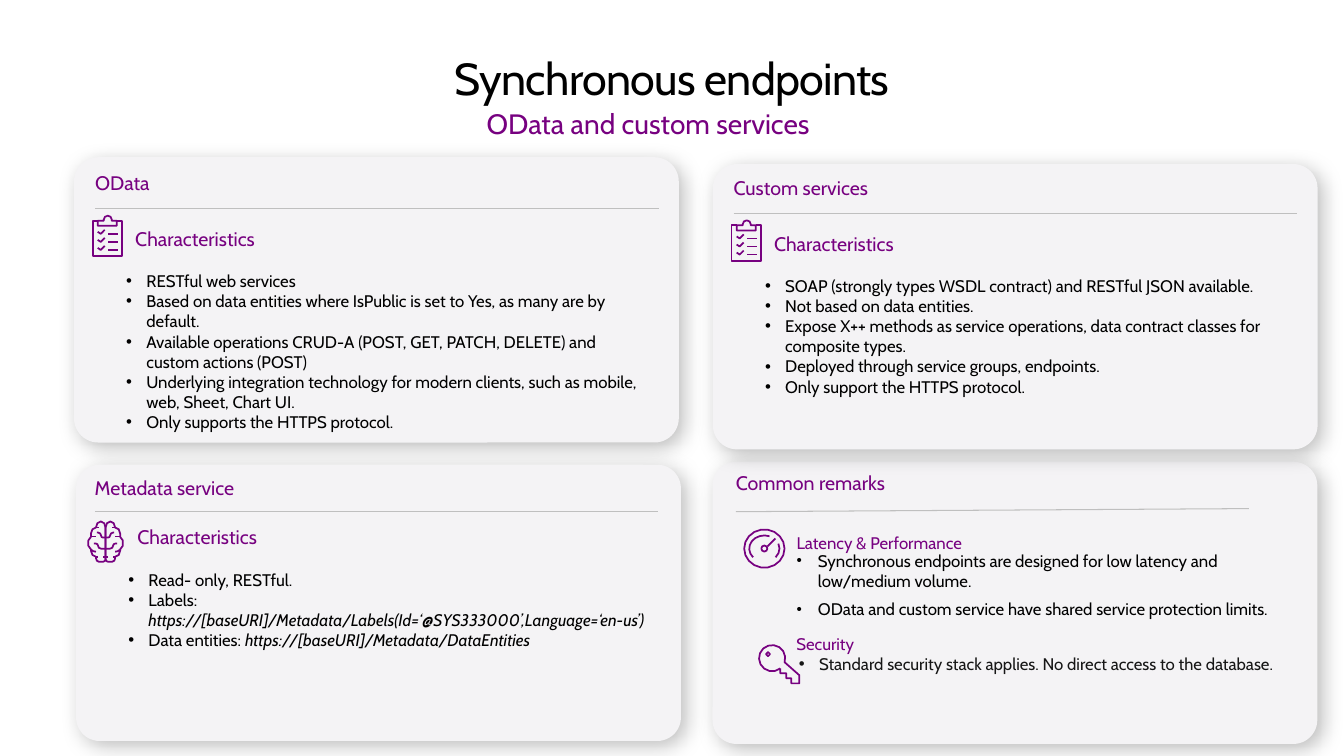
from math import cos, radians, sin

from lxml.etree import SubElement
from pptx import Presentation
from pptx.dml.color import RGBColor
from pptx.enum.shapes import MSO_CONNECTOR, MSO_SHAPE
from pptx.enum.text import MSO_ANCHOR, PP_ALIGN
from pptx.oxml.ns import qn
from pptx.util import Pt

COLORS = {"accent": "770180", "card": "F4F3F5", "rule": "BFBFBF",
          "text": "000000", "soft": "161616", "shadow": "000000"}


def arc(cx, cy, rx, ry, start, end, step=45):
    """Points along an ellipse, clockwise on screen when end > start."""
    count = max(1, round(abs(end - start) / step))
    angles = [radians(start + (end - start) * i / count) for i in range(count + 1)]
    return [(cx + rx * cos(a), cy + ry * sin(a)) for a in angles]


# Icons are lists of strokes, in hundredths of an inch from their top left corner.
def checklist():
    clip = arc(15, 4, 4, 4, 180, 360) + [
        (19, 5), (24, 5), (24, 10), (5, 10), (5, 5), (11, 5), (11, 4)]
    board = [(5, 5), (0, 5), (0, 40), (29, 40), (29, 5), (24, 5)]
    strokes = [clip, board]
    for y in (18, 26, 34):
        strokes += [[(25, y), (15, y)], [(5, y - 2), (8, y), (12, y - 4)]]
    return strokes


def brain():
    lobe = (arc(8, 29, 5, 6, 90, 180) + arc(4.5, 21.5, 4.5, 6.5, 110, 250)
            + arc(8, 12, 5, 6, 180, 270) + arc(12.75, 6, 4.75, 6, 180, 360)
            + [(17.5, 35)])
    stem = ([(8, 35)] + arc(11, 36.5, 3, 3.5, 180, 90)
            + arc(15, 37.5, 2.5, 2.5, 90, 0) + [(17.5, 35)])
    lower_fold = ([(6, 22)] + arc(8, 24, 2, 2, -90, 0)
                  + arc(13, 24, 3, 3, 180, 90) + [(17.5, 27)])
    upper_fold = ([(9, 11)] + arc(10, 14, 3, 3, -90, 0)
                  + arc(15, 14, 2, 2, 180, 90) + [(17.5, 16)])
    half = [lobe, stem, lower_fold, upper_fold, arc(8, 27, 5, 3, 160, 90),
            [(8, 35), (10, 35)], [(15, 35), (17.5, 35)],
            [(3, 15), (8, 15)], [(8, 6), (11, 6)]]
    return half + [[(35 - x, y) for x, y in stroke] for stroke in half]


def gauge():
    return [arc(20, 19, 20, 19, 0, 360, 20), arc(20, 19, 3, 3, 0, 360),
            arc(20, 19, 15, 13, 42, -22, 20), arc(20, 19, 15, 13, -70, -222, 20),
            [(31, 9), (23, 17)]]


def key():
    blade = [(40, 30), (40, 38), (32, 38), (32, 33), (27, 33),
             (27, 28), (21, 28), (21, 23)]
    return [arc(13, 13, 13, 13, 52, 378, 25) + blade, arc(9, 9, 2, 2, 0, 360, 90)]


class Deck:
    def __init__(self, font):
        self.font = font
        self.prs = Presentation()
        self.prs.slide_width, self.prs.slide_height = Pt(960), Pt(540)
        self.s = self.prs.slides.add_slide(self.prs.slide_layouts[6])

    def color(self, name):
        return RGBColor.from_string(COLORS[name])

    def text(self, paragraphs, x, y, w, h, size=12, color="text", align=PP_ALIGN.LEFT,
             anchor=MSO_ANCHOR.TOP, indent=0, bullet_size=100, gap=0,
             right_inset=0, tracking=0):
        """Each paragraph is a string or a (plain, italic) pair; indent adds bullets."""
        tf = self.s.shapes.add_textbox(Pt(x), Pt(y), Pt(w), Pt(h)).text_frame
        tf.word_wrap = True
        tf.vertical_anchor = anchor
        tf.margin_left = tf.margin_top = tf.margin_bottom = 0
        tf.margin_right = Pt(right_inset)
        for i, content in enumerate(paragraphs):
            p = tf.add_paragraph() if i else tf.paragraphs[0]
            p.alignment = align
            if i and gap:
                p.space_before = Pt(gap)
            if indent:
                pPr = p._p.get_or_add_pPr()
                pPr.set("marL", str(Pt(indent)))
                pPr.set("indent", str(-Pt(indent)))
                SubElement(pPr, qn("a:buSzPct"), val=str(bullet_size * 1000))
                SubElement(pPr, qn("a:buFont"), typeface="Arial")
                SubElement(pPr, qn("a:buChar"), char="•")
            parts = (content,) if isinstance(content, str) else content
            for n, part in enumerate(parts):
                r = p.add_run()
                r.text = part
                r.font.name, r.font.size = self.font, Pt(size)
                r.font.color.rgb = self.color(color)
                if n:
                    r.font.italic = True
                if tracking:
                    r._r.get_or_add_rPr().set("spc", str(int(tracking * 100)))

    def heading(self, label, x, y, size=14):
        self.text([label], x, y, 380, 22.3 if size == 14 else 20.9, size=size,
                  color="accent", anchor=MSO_ANCHOR.MIDDLE)

    def bullets(self, items, x, y, w, h, indent=14.4, **fmt):
        self.text(items, x, y, w, h, indent=indent, right_inset=7.2, **fmt)

    def card(self, x, y, h):
        sp = self.s.shapes.add_shape(MSO_SHAPE.ROUNDED_RECTANGLE,
                                     Pt(x), Pt(y), Pt(432), Pt(h))
        sp.adjustments[0] = 0.085
        sp.fill.solid()
        sp.fill.fore_color.rgb = self.color("card")
        sp.line.fill.background()
        sp.shadow.inherit = False
        effects = sp._element.spPr.find(qn("a:effectLst"))
        shadow = SubElement(effects, qn("a:outerShdw"), blurRad=str(Pt(15)),
                            dist=str(Pt(5)), dir=str(45 * 60000),
                            algn="tl", rotWithShape="0")
        tint = SubElement(shadow, qn("a:srgbClr"), val=COLORS["shadow"])
        SubElement(tint, qn("a:alpha"), val="25000")

    def rule(self, x1, y1, x2, y2):
        line = self.s.shapes.add_connector(MSO_CONNECTOR.STRAIGHT,
                                           Pt(x1), Pt(y1), Pt(x2), Pt(y2))
        line.line.color.rgb = self.color("rule")
        line.line.width = Pt(0.75)
        SubElement(line._element.spPr, qn("a:effectLst"))

    def icon(self, strokes, x, y):
        scaled = [[(px * 72, py * 72) for px, py in stroke] for stroke in strokes]
        builder = self.s.shapes.build_freeform(*scaled[0][0], scale=Pt(0.01))
        for i, stroke in enumerate(scaled):
            if i:
                builder.move_to(*stroke[0])
            builder.add_line_segments(stroke[1:], close=False)
        sp = builder.convert_to_shape(Pt(x), Pt(y))
        sp.fill.background()
        sp.line.color.rgb = self.color("accent")
        sp.line.width = Pt(1.25)
        sp.shadow.inherit = False

    def service(self, title, strokes, items, x, left, icon_x, h, ys):
        """A card whose ys are the tops of card, title, rule, icon, label, bullets."""
        card_y, title_y, rule_y, icon_y, label_y, bullets_y = ys
        self.card(x, card_y, h)
        self.heading(title, left, title_y)
        self.rule(left, rule_y, left + 402.5, rule_y)
        self.icon(strokes, icon_x, icon_y)
        self.heading("Characteristics", x + 43.7, label_y)
        self.bullets(items, x + 37.3, bullets_y, 376.6, 14.6 * len(items))


def main():
    deck = Deck("Cabin")
    deck.text(["Synchronous endpoints"], 46, 36, 868, 39, size=32,
              align=PP_ALIGN.CENTER, tracking=-0.5)
    deck.text(["OData and custom services"], 46, 76.3, 834, 24.5, size=20,
              color="accent", align=PP_ALIGN.CENTER)

    deck.card(509, 329.8, 201.6)
    deck.heading("Common remarks", 525.6, 333.4)
    deck.rule(525.6, 365.5, 892, 363.3)
    deck.heading("Latency & Performance", 569, 377.3, size=12)
    deck.bullets(["Synchronous endpoints are designed for low latency and low/medium volume.",
                  "OData and custom service have shared service protection limits."],
                 569, 393.2, 362.2, 49.7, indent=15.3, bullet_size=90, gap=5.9)
    deck.icon(gauge(), 531.6, 378.2)
    deck.heading("Security", 568.8, 449.3, size=12)
    deck.bullets(["Standard security stack applies. No direct access to the database."],
                 570.6, 466.6, 370, 14.4, color="soft")
    deck.icon(key(), 542.2, 460.8)

    deck.service("OData", checklist(), [
        "RESTful web services",
        "Based on data entities where IsPublic is set to Yes, as many are by default.",
        "Available operations CRUD-A (POST, GET, PATCH, DELETE) and custom actions (POST)",
        "Underlying integration technology for modern clients, such as mobile, "
        "web, Sheet, Chart UI.",
        "Only supports the HTTPS protocol.",
    ], 52.9, 68, 66.2, 203.8, (112.3, 119.5, 149, 154.1, 159.1, 193.5))
    deck.service("Metadata service", brain(), [
        "Read- only, RESTful.",
        ("Labels: ", "https://[baseURI]/Metadata/Labels(Id=‘@SYS333000’,Language=‘en-us’)"),
        ("Data entities: ", "https://[baseURI]/Metadata/DataEntities"),
    ], 54.4, 67.7, 62.8, 197.3, (332, 337, 365.4, 372.5, 372.2, 406.8))
    deck.service("Custom services", checklist(), [
        "SOAP (strongly types WSDL contract) and RESTful JSON available.",
        "Not based on data entities.",
        "Expose X++ methods as service operations, data contract classes for composite types.",
        "Deployed through service groups, endpoints.",
        "Only support the HTTPS protocol.",
    ], 509.2, 524, 522.6, 203.8, (117.2, 122.9, 152.4, 157.4, 162.7, 196.8))
    deck.prs.save("out.pptx")


if __name__ == "__main__":
    main()
